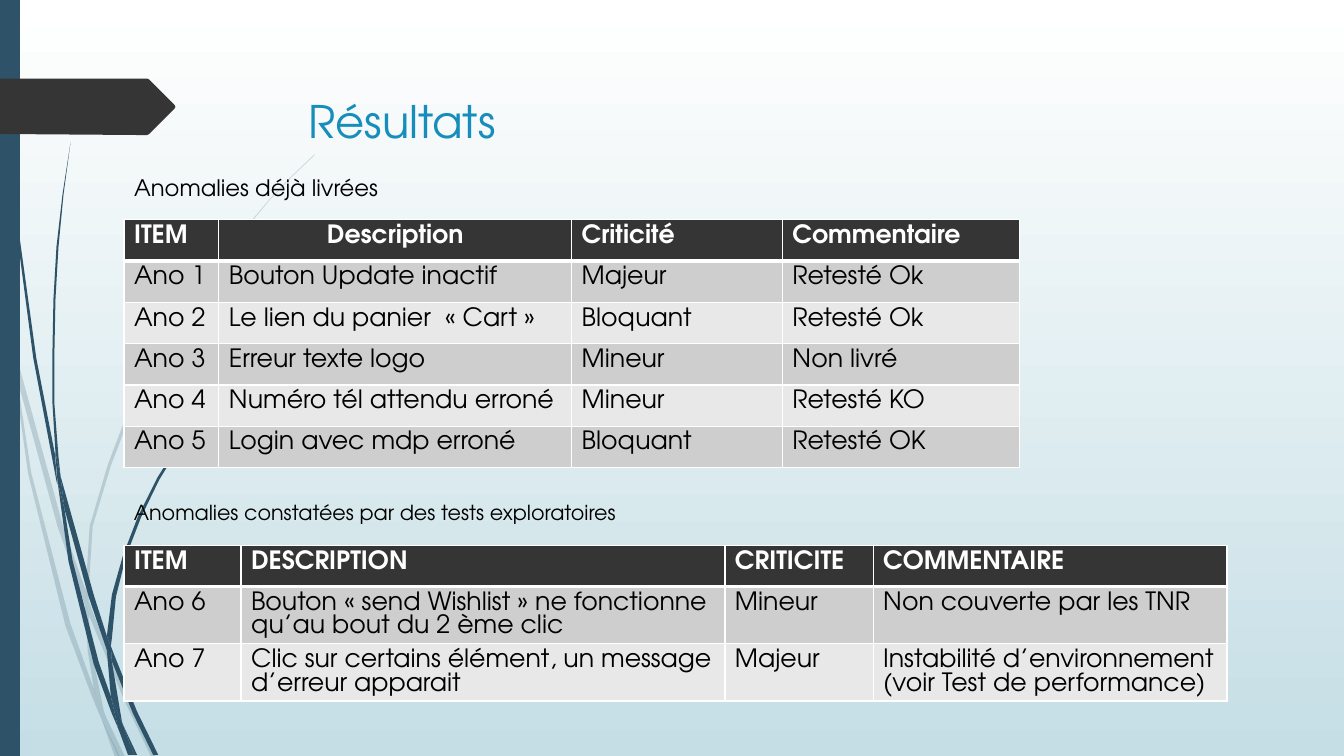
"""Build the slide "Résultats" with its two tables of anomalies."""
import pptx
import pptx.dml.color
import pptx.enum.text
import pptx.oxml
import pptx.util
from pptx.oxml.ns import nsdecls, qn

PX = 9144
FONT = "TeX Gyre Adventor"
rgb = pptx.dml.color.RGBColor.from_string


def outline(shapes, points, color, alpha=100):
    """Draw a filled closed outline from "x,y x,y ..." points in px."""
    pts = [tuple(map(int, pt.split(","))) for pt in points.split()]
    fb = shapes.build_freeform(*pts[0], scale=PX)
    fb.add_line_segments(pts[1:], close=True)
    sp = fb.convert_to_shape()
    sp.shadow.inherit = False
    sp.line.fill.background()
    sp.fill.solid()
    sp.fill.fore_color.rgb = rgb(color)
    if alpha < 100:
        clr = sp.fill._xPr.find(qn("a:solidFill"))[0]
        clr.append(pptx.oxml.parse_xml(f'<a:alpha {nsdecls("a")} val="{alpha * 1000}"/>'))


def write(tf, text, size, color, align="LEFT", bold=False):
    """Put one formatted paragraph into a text frame."""
    p = tf.paragraphs[0]
    p.alignment = getattr(pptx.enum.text.PP_ALIGN, align)
    r = p.add_run()
    r.text = text
    for key, value in {"name": FONT, "size": pptx.util.Pt(size), "bold": bold}.items():
        setattr(r.font, key, value)
    r.font.color.rgb = rgb(color)


prs = pptx.Presentation()
prs.slide_width, prs.slide_height = 1333 * PX, 750 * PX
s = prs.slides.add_slide(prs.slide_layouts[5])

bg = s.background.fill
bg.gradient()
bg.gradient_angle = 270
for stop, color in zip(bg.gradient_stops, ("FFFFFF", "C5DEE5")):
    stop.color.rgb = rgb(color)

pale_stalks = [
    "11,350 9,322 0,282 0,299 10,344",
    "57,522 84,599 85,586 62,520 14,345 17,376",
    "92,607 88,596 88,610 123,694 150,751 155,751 127,692",
    "119,751 124,751 105,711",
    "93,683 70,619 31,469 17,376 11,350 28,470 65,621 92,693 101,714 99,707",
    "84,599 87,646 93,683 96,692 105,711 103,706 91,646 88,610 88,608",
    "88,584 92,522 110,462 132,405 160,349 192,296 229,245 268,198 290,175 312,154 "
    "312,153 289,175 268,197 228,244 190,294 158,348 129,403 107,461 89,522 85,584 85,586 88,596",
    "101,714 114,751 119,751",
    "88,608 88,610 88,596 85,586 84,599",
    "96,692 93,683 99,707 101,714 118,751 119,751 105,711",
]
dark_stalks = [
    "7,110 17,233 33,355 56,477 57,481 55,457 55,453 36,355 19,232 8,109 5,48 4,0 3,0 4,48",
    "88,592 106,645 106,633 106,631 93,590 60,472 64,505",
    "113,649 110,641 111,656 132,708 152,749 157,749 136,706",
    "110,691 98,657 72,556 64,505 57,477 68,557 93,659 111,708 117,722 116,717",
    "60,472 58,453 54,401 54,349 55,297 58,245 63,193 70,141 62,193 56,245 53,297 52,349 52,400 55,449",
    "133,749 136,749 122,719",
    "57,477 64,505 60,472 55,449 55,453",
    "111,633 115,592 125,552 140,513 158,476 180,440 205,406 231,374 245,359 261,344 "
    "260,344 245,358 231,373 203,405 178,439 156,474 137,512 122,551 111,590 106,631 110,641",
    "117,722 127,749 131,749",
    "106,645 110,691 116,706 122,719 121,716 111,656 109,651",
    "106,645 109,651 111,656 110,641 106,631 106,633",
    "116,706 110,691 116,717 117,722 130,749 133,749 122,719",
]
for stalks, alpha in ((pale_stalks, 20), (dark_stalks, 100)):
    group = s.shapes.add_group_shape()
    for stalk in stalks:
        outline(group.shapes, stalk, "2E5369", alpha)
outline(s.shapes, "0,0 20,0 20,750 0,750", "2E5369")
outline(s.shapes, "0,78 146,78 148,79 173,104 174,106 173,108 148,133 146,134 136,134 0,133", "353535")

headings = [
    (s.shapes.title, "Anomalies déjà livrées", (123, 170, 974, 31), 16.2, "000000"),
    (None, "Résultats", (296, 84, 974, 71), 32, "178DBB"),
    (None, "Anomalies constatées par des tests exploratoires", (123, 493, 974, 31), 14.8, "000000"),
]
for sp, text, box, size, color in headings:
    sp = sp or s.shapes.add_textbox(0, 0, 0, 0)
    for key, value in zip(("left", "top", "width", "height"), box):
        setattr(sp, key, value * PX)
    tf = sp.text_frame
    for key, value in {
        "word_wrap": True,
        "auto_size": pptx.enum.text.MSO_AUTO_SIZE.NONE,
        "vertical_anchor": pptx.enum.text.MSO_ANCHOR.MIDDLE,
    }.items():
        setattr(tf, key, value)
    write(tf, text, size, color)

delivered = [
    ("ITEM", "Description", "Criticité", "Commentaire"),
    ("Ano 1", "Bouton Update inactif", "Majeur", "Retesté Ok"),
    ("Ano 2", "Le lien du panier  « Cart »", "Bloquant", "Retesté Ok"),
    ("Ano 3", "Erreur texte logo", "Mineur", "Non livré"),
    ("Ano 4", "Numéro tél attendu erroné", "Mineur", "Retesté KO"),
    ("Ano 5", "Login avec mdp erroné", "Bloquant", "Retesté OK"),
]
exploratory = [
    ("ITEM", "DESCRIPTION", "CRITICITE", "COMMENTAIRE"),
    ("Ano 6", "Bouton « send Wishlist » ne fonctionne qu’au bout du 2 ème clic",
     "Mineur", "Non couverte par les TNR"),
    ("Ano 7", "Clic sur certains élément, un message d’erreur apparait",
     "Majeur", "Instabilité d’environnement (voir Test de performance)"),
]
tables = [
    (delivered, 218, (94, 350, 209, 235)),
    (exploratory, 541, (116, 480, 147, 351)),
]
for rows, top, widths in tables:
    frame = s.shapes.add_table(len(rows), len(widths), 123 * PX, top * PX,
                               sum(widths) * PX, 41 * len(rows) * PX)
    table = frame.table
    for column, width in zip(table.columns, widths):
        column.width = width * PX
    for i, row in enumerate(rows):
        table.rows[i].height = 41 * PX
        for j, text in enumerate(row):
            cell = table.cell(i, j)
            tcPr = cell._tc.get_or_add_tcPr()
            for side in "LRTB":
                thick = (i, side) in ((0, "B"), (1, "T"))
                tcPr.append(pptx.oxml.parse_xml(
                    f'<a:ln{side} {nsdecls("a")} w="{38100 if thick else 12700}">'
                    f'<a:solidFill><a:srgbClr val="FFFFFF"/></a:solidFill></a:ln{side}>'))
            cell.fill.solid()
            cell.fill.fore_color.rgb = rgb("353535" if i == 0 else ("E8E8E8", "CECECE")[i % 2])
            write(cell.text_frame, text, 18, "000000" if i else "FFFFFF",
                  "CENTER" if text == "Description" else "LEFT", i == 0)

prs.save("out.pptx")
